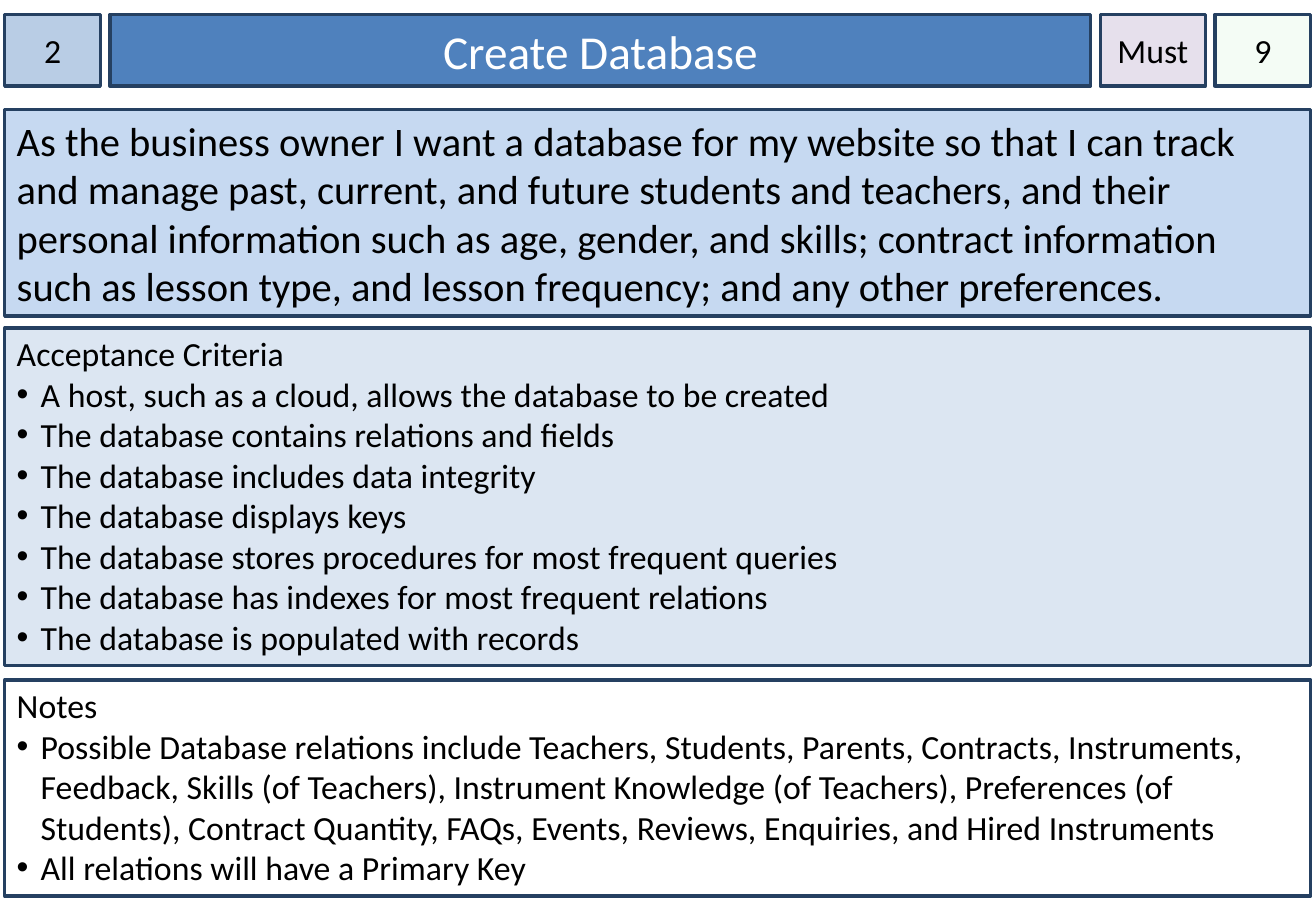
from dataclasses import dataclass

from lxml.etree import SubElement as Sub
from pptx import Presentation
from pptx.dml.color import RGBColor as Rgb
from pptx.enum.shapes import MSO_SHAPE as Kind
from pptx.enum.text import MSO_ANCHOR as Anchor, MSO_AUTO_SIZE as Auto, PP_ALIGN as Align
from pptx.oxml.ns import qn
from pptx.util import Cm, Pt


@dataclass(frozen=True)
class Theme:
    """Colours, font and type sizes of the story card."""
    font: str = "Calibri"
    ink: str = "000000"
    pale: str = "FFFFFF"
    edge: str = "254061"
    number: str = "B9CDE5"
    title: str = "4F81BD"
    rank: str = "E6E0EC"
    score: str = "CCF0CD"
    story: str = "C6D9F1"
    tests: str = "DCE6F2"
    big: int = 28
    mid: int = 24
    small: int = 20


LOOK = Theme()
GAP = 0.2
INDENT = 0.5

STORY = (
    "As the business owner I want a database for my website so that I can track "
    "and manage past, current, and future students and teachers, and their "
    "personal information such as age, gender, and skills; contract information "
    "such as lesson type, and lesson frequency; and any other preferences."
)
TESTS = [
    "A host, such as a cloud, allows the database to be created",
    "The database contains relations and fields",
    "The database includes data integrity",
    "The database displays keys",
    "The database stores procedures for most frequent queries",
    "The database has indexes for most frequent relations",
    "The database is populated with records",
]
NOTES = [
    "Possible Database relations include Teachers, Students, Parents, Contracts, "
    "Instruments, Feedback, Skills (of Teachers), Instrument Knowledge (of Teachers), "
    "Preferences (of Students), Contract Quantity, FAQs, Events, Reviews, Enquiries, "
    "and Hired Instruments",
    "All relations will have a Primary Key",
]


def paint(shape, box, fill, alpha=None):
    """Place a shape in its box and give it fill and edge."""
    shape.left, shape.top, shape.width, shape.height = map(Cm, box)
    shape.shadow.inherit = False
    shape.fill.solid()
    shape.fill.fore_color.rgb = Rgb.from_string(fill)
    if alpha:
        tint = shape.fill.fore_color._xFill.find(qn("a:srgbClr"))
        Sub(tint, qn("a:alpha"), val=str(alpha * 1000))
    shape.line.color.rgb = Rgb.from_string(LOOK.edge)
    shape.line.width = Pt(2)
    return shape


def mark(para, dot):
    """Turn the bullet of a paragraph on or off."""
    props = para._p.get_or_add_pPr()
    inset = Cm(INDENT) if dot else 0
    props.set("marL", str(inset))
    props.set("indent", str(-inset))
    if dot:
        Sub(props, qn("a:buFont"), typeface="Arial")
        Sub(props, qn("a:buChar"), char="•")
    else:
        Sub(props, qn("a:buNone"))


def write(shape, text, items=(), size=LOOK.small, color=LOOK.ink, align=Align.LEFT,
          anchor=Anchor.TOP, side=0.25, top=0.13, wrap=True):
    """Write a lead paragraph and bulleted items into a shape."""
    frame = shape.text_frame
    frame.auto_size = Auto.NONE
    frame.word_wrap = wrap
    frame.vertical_anchor = anchor
    frame.margin_left = frame.margin_right = Cm(side)
    frame.margin_top, frame.margin_bottom = Cm(top), Cm(0.13)
    for at, line in enumerate([text, *items]):
        para = frame.add_paragraph() if at else frame.paragraphs[0]
        mark(para, at > 0)
        para.alignment = align
        para.space_before = Pt(0)
        run = para.add_run()
        run.text = line
        run.font.name = LOOK.font
        run.font.size = Pt(size)
        run.font.color.rgb = Rgb.from_string(color)


def panel(slide, box):
    """Add a plain rectangle in a box."""
    return slide.shapes.add_shape(Kind.RECTANGLE, *map(Cm, box))


def head(slide, box):
    """Build the top row of number, title, rank and score."""
    left, top, width, height = box
    side, rank = 2, 2.2
    parts = [
        ("2", side, LOOK.number, None),
        ("Create Database", width - 2 * side - rank - 3 * GAP, LOOK.title, None),
        ("Must", rank, LOOK.rank, None),
        ("9", side, LOOK.score, 20),
    ]
    for text, wide, fill, alpha in parts:
        cell = (left, top, wide, height)
        mid = dict(align=Align.CENTER, anchor=Anchor.MIDDLE)
        if fill == LOOK.title:
            shape = slide.shapes.title
            mid.update(size=LOOK.big, color=LOOK.pale)
        else:
            shape = panel(slide, cell)
            mid.update(side=0, wrap=fill != LOOK.rank)
        write(paint(shape, cell, fill, alpha), text, **mid)
        left += wide + GAP


def story(slide, box):
    """Build the panel with the user story."""
    write(paint(panel(slide, box), box, LOOK.story), STORY, size=LOOK.mid)


def points(holder, box, text, items, fill):
    """Build a panel with a lead line and bullets."""
    write(paint(holder, box, fill), text, items, top=0.1)


def main():
    """Build and save the story card."""
    deck = Presentation()
    deck.slide_width, deck.slide_height = Cm(27.51), Cm(19.05)
    slide = deck.slides.add_slide(deck.slide_layouts[3])
    left, width = 0.1, 27.3
    head(slide, (left, 0.3, width, 1.5))
    story(slide, (left, 2.29, width, 4.32))
    tests, notes = slide.placeholders[1], slide.placeholders[2]
    points(tests, (left, 6.86, width, 7.06), "Acceptance Criteria", TESTS, LOOK.tests)
    points(notes, (left, 14.22, width, 4.52), "Notes", NOTES, LOOK.pale)
    deck.save("out.pptx")


if __name__ == "__main__":
    main()
